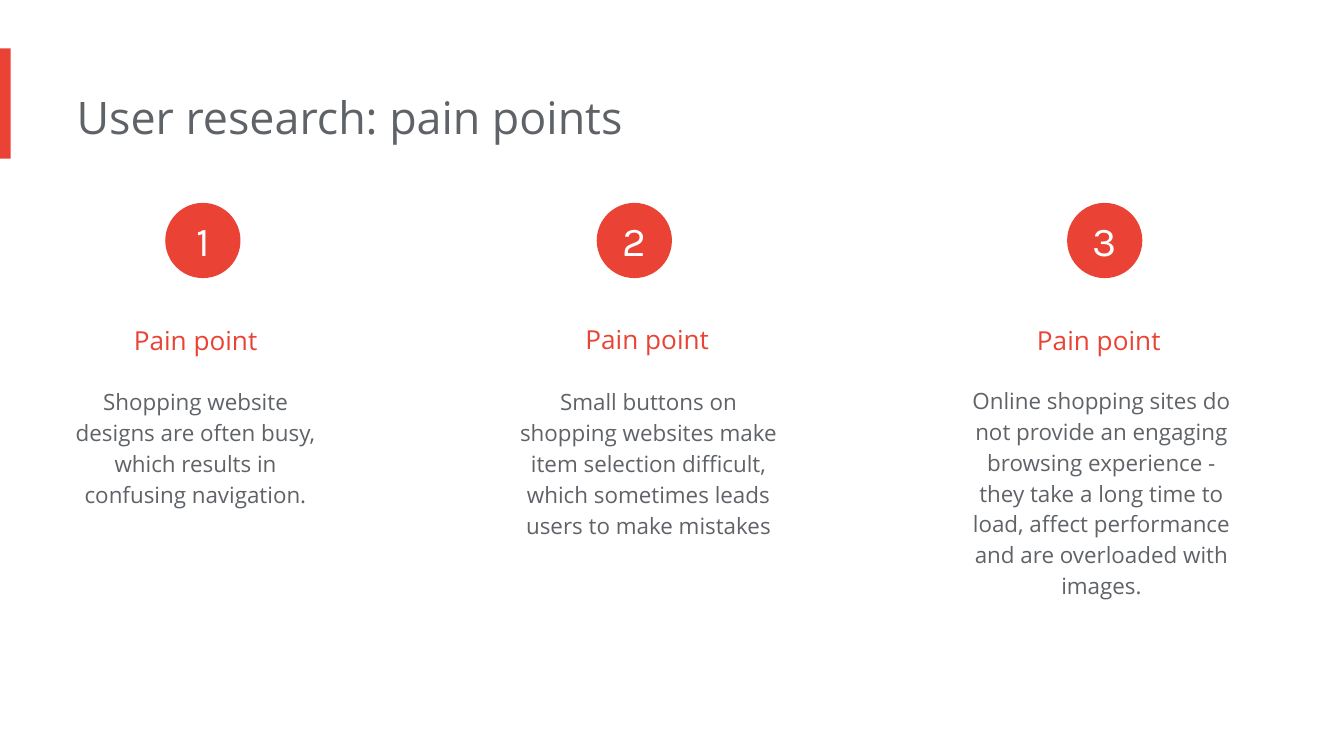
import dataclasses

import pptx
import pptx.dml.color
import pptx.enum.shapes
import pptx.enum.text
import pptx.util

Inches = pptx.util.Inches
Shape = pptx.enum.shapes.MSO_SHAPE
Align = pptx.enum.text.PP_ALIGN
Anchor = pptx.enum.text.MSO_ANCHOR
Fit = pptx.enum.text.MSO_AUTO_SIZE


@dataclasses.dataclass(frozen=True)
class Theme:
    red: str = "EA4335"
    gray: str = "5F6368"
    white: str = "FFFFFF"
    font: str = "Open Sans"
    digit: str = "Karla"
    title: int = 24
    badge: int = 22
    head: int = 14
    body: int = 12


def rgb(code):
    return pptx.dml.color.RGBColor.from_string(code)


def write(frame, text, *, size, color, font, align=Align.LEFT, lead=1.0,
          pad=(0, 0, 0, 0)):
    """Fill a text frame; pad is left, top, right, bottom in inches."""
    frame.word_wrap = True
    (frame.margin_left, frame.margin_top,
     frame.margin_right, frame.margin_bottom) = map(Inches, pad)
    para = frame.paragraphs[0]
    para.alignment = align
    para.line_spacing = lead
    run = para.add_run()
    run.text = text
    run.font.size = pptx.util.Pt(size)
    run.font.name = font
    run.font.color.rgb = rgb(color)


class Deck:
    def __init__(self, theme):
        self.theme = theme
        self.file = pptx.Presentation()
        self.file.slide_width = Inches(10)
        self.file.slide_height = Inches(10 * 9 / 16)
        self.slide = self.file.slides.add_slide(self.file.slide_layouts[6])

    def shape(self, kind, *box):
        """Add a plain red shape at left, top, width, height."""
        shape = self.slide.shapes.add_shape(kind, *map(Inches, box))
        shape.shadow.inherit = False
        shape.fill.solid()
        shape.fill.fore_color.rgb = rgb(self.theme.red)
        shape.line.fill.background()
        return shape

    def text(self, text, *box, **form):
        frame = self.slide.shapes.add_textbox(*map(Inches, box)).text_frame
        write(frame, text, font=self.theme.font, pad=(0, 0.1, 0.1, 0.1), **form)
        frame.auto_size = Fit.SHAPE_TO_FIT_TEXT

    def badge(self, text, left, top, size):
        frame = self.shape(Shape.OVAL, left, top, size, size).text_frame
        frame.vertical_anchor = Anchor.MIDDLE
        write(frame, text, size=self.theme.badge, color=self.theme.white,
              font=self.theme.digit, align=Align.CENTER)


# Badge left, head top, body top, body height, body text
POINTS = [
    (1.23, 2.2, 2.76, 1.13, "Shopping website designs are often busy, which "
     "results in confusing navigation."),
    (4.44, 2.19, 2.76, 1.36, "Small buttons on shopping websites make item "
     "selection difficult, which sometimes leads users to make mistakes"),
    (7.94, 2.2, 2.75, 1.83, "Online shopping sites do not provide an engaging "
     "browsing experience - they take a long time to load, affect performance "
     "and are overloaded with images."),
]


def main():
    theme = Theme()
    deck = Deck(theme)
    deck.shape(Shape.RECTANGLE, 0, 0.36, 0.08, 0.82)
    deck.text("User research: pain points", 0.57, 0.57, 6.73, 0.61,
              size=theme.title, color=theme.gray)
    for i, (_, top, low, high, body) in enumerate(POINTS):
        deck.text("Pain point", 0.48 + 3.36 * i, top, 2.05, 0.44,
                  size=theme.head, color=theme.red, align=Align.CENTER, lead=1.5)
        deck.text(body, 0.48 + 3.37 * i, low, 2.05, high,
                  size=theme.body, color=theme.gray, align=Align.CENTER, lead=1.15)
    for i, (left, *_) in enumerate(POINTS, 1):
        deck.badge(str(i), left, 1.51, 0.56)
    deck.file.save("out.pptx")


if __name__ == "__main__":
    main()
